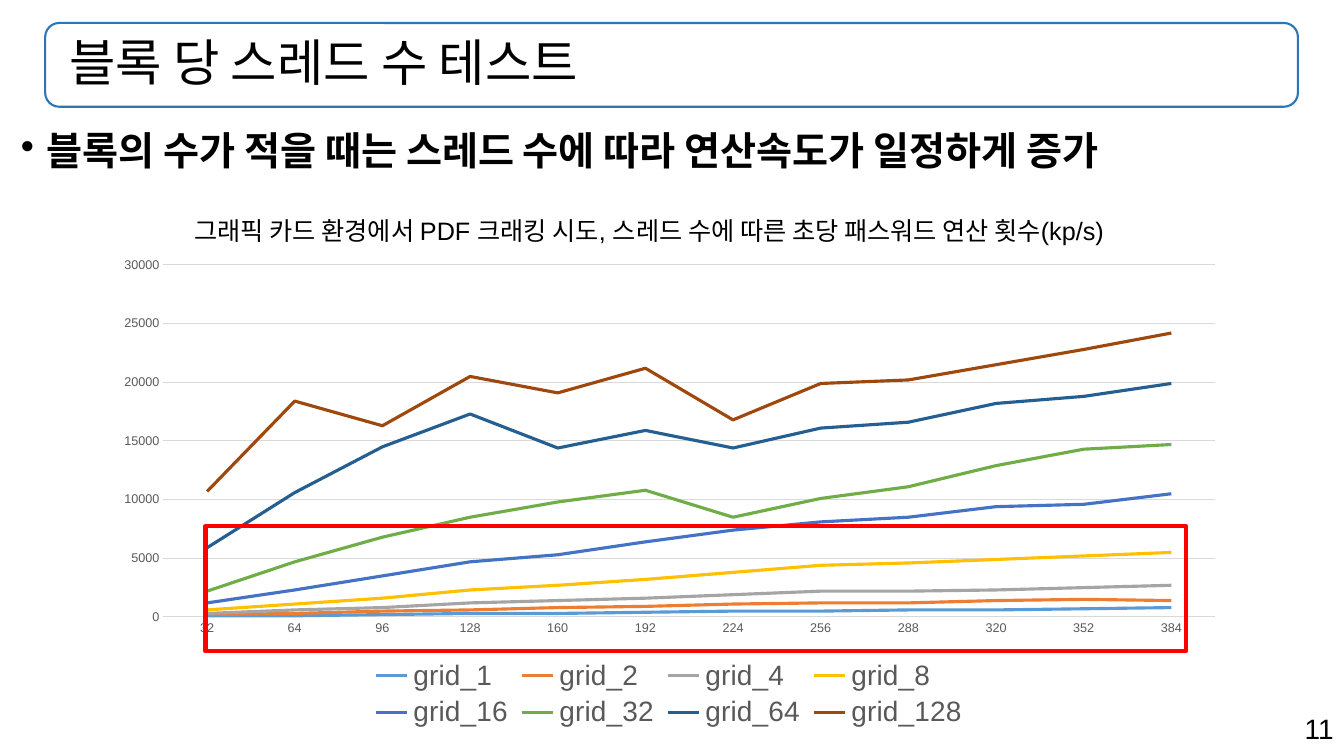
from dataclasses import dataclass

from lxml import etree
from pptx import Presentation
from pptx.chart.data import CategoryChartData
from pptx.dml.color import RGBColor
from pptx.enum.chart import XL_CHART_TYPE as ChartType, XL_LEGEND_POSITION as LegendPosition, XL_TICK_MARK as TickMark
from pptx.enum.shapes import MSO_SHAPE as Preset
from pptx.enum.text import MSO_ANCHOR as Anchor, PP_ALIGN as Align
from pptx.oxml.ns import qn
from pptx.util import Cm, Pt

TITLE = "블록 당 스레드 수 테스트"
MESSAGE = "블록의 수가 적을 때는 스레드 수에 따라 연산속도가 일정하게 증가"
CAPTION = "그래픽 카드 환경에서 PDF 크래킹 시도, 스레드 수에 따른 초당 패스워드 연산 횟수(kp/s)"
PAGE_NUMBER = "11"
THREADS = [str(count) for count in range(32, 385, 32)]
SPEEDS = {
    "grid_1": (100, 100, 200, 300, 300, 400, 500, 500, 600, 600, 700, 800),
    "grid_2": (200, 300, 500, 600, 800, 900, 1100, 1200, 1200, 1400, 1500, 1400),
    "grid_4": (300, 600, 800, 1200, 1400, 1600, 1900, 2200, 2200, 2300, 2500, 2700),
    "grid_8": (600, 1100, 1600, 2300, 2700, 3200, 3800, 4400, 4600, 4900, 5200, 5500),
    "grid_16": (1200, 2300, 3500, 4700, 5300, 6400, 7400, 8100, 8500, 9400, 9600, 10500),
    "grid_32": (2200, 4700, 6800, 8500, 9800, 10800, 8500, 10100, 11100, 12900, 14300, 14700),
    "grid_64": (5900, 10600, 14500, 17300, 14400, 15900, 14400, 16100, 16600, 18200, 18800, 19900),
    "grid_128": (10700, 18400, 16300, 20500, 19100, 21200, 16800, 19900, 20200, 21500, 22800, 24200),
}
TITLE_AREA = (1.14, 0.58, 31.57, 2.11)
MESSAGE_AREA = (0.28, 3.2, 33.27, 15.57)
CHART_AREA = (2.54, 6.25, 28.63, 12.22)
CAPTION_AREA = (4.65, 5.18, 25.12, 1.27)
HIGHLIGHT_AREA = (5.18, 13.26, 24.71, 3.15)
NUMBER_AREA = (23.95, 17.81, 9.91, 1.12)
PLOT_LAYOUT = {"x": 0.055, "y": 0.035, "w": 0.926, "h": 0.726}
LEGEND_LAYOUT = {"x": 0.23, "y": 0.84, "w": 0.54, "h": 0.16}


@dataclass(frozen=True)
class Theme:
    font: str = "Arial"
    text: str = "000000"
    muted: str = "595959"
    grid: str = "D9D9D9"
    frame: str = "2E75B6"
    highlight: str = "FF0000"
    series: tuple = ("5B9BD5", "ED7D31", "A5A5A5", "FFC000", "4472C4", "70AD47", "255E91", "9E480E")
    title_size: float = 36
    message_size: float = 28
    large_size: float = 20
    caption_size: float = 18
    chart_size: float = 10
    axis_size: float = 9


theme = Theme()


def place(area):
    return [Cm(length) for length in area]


def set_font(font, size, color, bold=False):
    font.name, font.size, font.bold = theme.font, Pt(size), bold
    font.color.rgb = RGBColor.from_string(color)


def set_line(line, color, width):
    line.color.rgb = RGBColor.from_string(color)
    line.width = Pt(width)


def add_outline(page, preset, area, color, width):
    box = page.shapes.add_shape(preset, *place(area))
    box.shadow.inherit = False
    box.fill.background()
    set_line(box.line, color, width)


def add_text(page, area, text, size, bold=False):
    box = page.shapes.add_textbox(*place(area))
    box.text_frame.word_wrap = True
    para = box.text_frame.paragraphs[0]
    para.text = text
    set_font(para.font, size, theme.text, bold)
    return box


def add_bullet(para):
    props = para._p.get_or_add_pPr()
    props.set("marL", str(Cm(0.64)))
    props.set("indent", str(-Cm(0.64)))
    bullet = etree.Element(qn("a:buChar"), char="•")
    props.insert_element_before(bullet, "a:tabLst", "a:defRPr", "a:extLst")


def set_layout(part, fractions, target=None):
    for old in part.findall(qn("c:layout")):
        part.remove(old)
    layout = etree.Element(qn("c:layout"))
    manual = etree.SubElement(layout, qn("c:manualLayout"))
    if target:
        etree.SubElement(manual, qn("c:layoutTarget"), val=target)
    for side in ("x", "y"):
        etree.SubElement(manual, qn(f"c:{side}Mode"), val="edge")
    for side, fraction in fractions.items():
        etree.SubElement(manual, qn(f"c:{side}"), val=str(fraction))
    return layout


def add_speed_chart(page):
    data = CategoryChartData()
    data.categories = THREADS
    for name, values in SPEEDS.items():
        data.add_series(name, values)
    chart = page.shapes.add_chart(ChartType.LINE, *place(CHART_AREA), data).chart
    chart.has_title = False
    set_font(chart.font, theme.chart_size, theme.text)
    for series, color in zip(chart.plots[0].series, theme.series):
        series.smooth = False
        set_line(series.format.line, color, 2.25)
    for axis in (chart.category_axis, chart.value_axis):
        axis.major_tick_mark = axis.minor_tick_mark = TickMark.NONE
        set_font(axis.tick_labels.font, theme.axis_size, theme.muted)
    set_line(chart.category_axis.format.line, theme.grid, 0.75)
    levels = chart.value_axis
    levels.minimum_scale, levels.maximum_scale, levels.major_unit = 0, 30000, 5000
    levels.format.line.fill.background()
    set_line(levels.major_gridlines.format.line, theme.grid, 0.75)
    chart.has_legend = True
    legend = chart.legend
    legend.position, legend.include_in_layout = LegendPosition.BOTTOM, False
    set_font(legend.font, theme.large_size, theme.muted)
    plot_area = chart._chartSpace.chart.plotArea
    plot_area.insert(0, set_layout(plot_area, PLOT_LAYOUT, "inner"))
    key = legend._element
    key.find(qn("c:legendPos")).addnext(set_layout(key, LEGEND_LAYOUT))


def main():
    deck = Presentation()
    deck.slide_width, deck.slide_height = Cm(33.87), Cm(19.05)
    page = deck.slides.add_slide(deck.slide_layouts[5])

    add_outline(page, Preset.ROUNDED_RECTANGLE, TITLE_AREA, theme.frame, 1.5)
    title = page.shapes.title
    title.left, title.top, title.width, title.height = place(TITLE_AREA)
    frame = title.text_frame
    frame.text = TITLE
    frame.margin_left = Cm(0.6)
    frame.vertical_anchor = Anchor.MIDDLE
    para = frame.paragraphs[0]
    para.alignment, para.line_spacing = Align.LEFT, 0.9
    set_font(para.font, theme.title_size, theme.text)

    message = add_text(page, MESSAGE_AREA, MESSAGE, theme.message_size, bold=True)
    para = message.text_frame.paragraphs[0]
    para.line_spacing = 0.9
    add_bullet(para)

    add_speed_chart(page)
    caption = add_text(page, CAPTION_AREA, CAPTION, theme.caption_size).text_frame
    caption.margin_top = caption.margin_bottom = Cm(0.25)
    add_outline(page, Preset.RECTANGLE, HIGHLIGHT_AREA, theme.highlight, 3)
    number = add_text(page, NUMBER_AREA, PAGE_NUMBER, theme.large_size)
    number.text_frame.paragraphs[0].alignment = Align.RIGHT
    deck.save("out.pptx")


if __name__ == "__main__":
    main()
